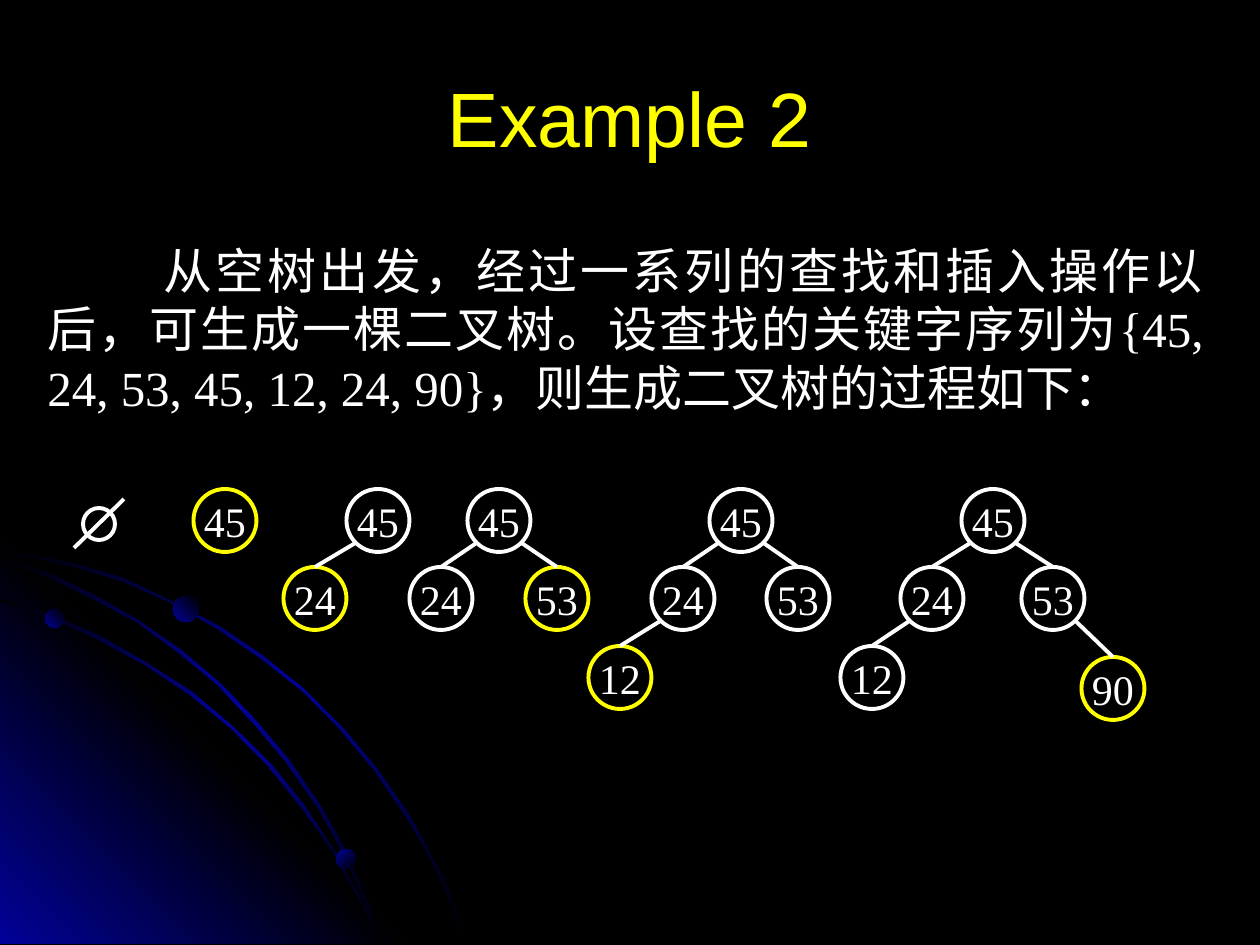
import pptx
import pptx.util
from lxml import etree
from pptx.dml.color import RGBColor
from pptx.enum.shapes import MSO_CONNECTOR, MSO_SHAPE
from pptx.enum.text import MSO_ANCHOR, PP_ALIGN
from pptx.oxml import parse_xml
from pptx.oxml.ns import nsdecls, qn

SCALE = 914400 / 126
BLACK, BLUE, WHITE, YELLOW = "000000", "010199", "FFFFFF", "FFFF00"
SERIF, SANS = "Times New Roman", "Arial"
NODE = 63

TREES = [
    {45: 225},
    {45: 378, 24: 315},
    {45: 499, 24: 441, 53: 557},
    {45: 741, 24: 683, 53: 798, 12: 620},
    {45: 993, 24: 932, 53: 1053, 12: 872, 90: 1113},
]
PARENT = {24: 45, 53: 45, 12: 24, 90: 53}
TOP = {45: 489, 24: 567, 53: 567, 12: 646, 90: 657}

CORNER = [(406, 944), (0, 944), (0, 538)]
OUTER_ARC = [
    (72, 563), (35, 556), (0, 548), (0, 552), (35, 558), (71, 566), (122, 581), (170, 602),
    (218, 629), (262, 659), (304, 692), (341, 730), (375, 771), (407, 818), (425, 848),
    (441, 879), (454, 911), (466, 944), (469, 944), (456, 911), (444, 879), (427, 848),
    (410, 816), (378, 770), (343, 728), (305, 690), (263, 656), (219, 626), (171, 601),
    (123, 578),
]
LOWER_ARC = [
    (359, 900), (370, 922), (379, 944), (382, 944), (373, 920), (360, 897), (335, 852),
    (305, 806), (271, 764), (232, 726), (192, 692), (147, 663), (100, 636), (52, 615),
    (0, 599), (0, 601), (49, 617), (97, 639), (145, 665), (189, 694), (231, 728), (268, 766),
    (302, 808), (334, 853),
]
MIDDLE_ARC = [
    (0, 557), (0, 559), (45, 576), (93, 599), (137, 622), (179, 653), (218, 685), (255, 725),
    (286, 762), (318, 808), (336, 840), (353, 874), (368, 910), (379, 944), (382, 944),
    (370, 907), (355, 873), (339, 838), (320, 805), (289, 760), (257, 722), (221, 684),
    (181, 650), (139, 621), (96, 596), (49, 573),
]


def px(n):
    """Turn px into EMU."""
    return pptx.util.Emu(round(n * SCALE))


def rgb(value):
    """Turn a hex string into a colour."""
    return RGBColor.from_string(value)


def set_gradient(sp, colours, angle):
    """Fill a shape with evenly spaced gradient stops and no outline."""
    last = len(colours) - 1
    stops = "".join(
        f'<a:gs pos="{100000 * i // last}"><a:srgbClr val="{c}"/></a:gs>'
        for i, c in enumerate(colours)
    )
    grad = parse_xml(
        f'<a:gradFill {nsdecls("a")} rotWithShape="1"><a:gsLst>{stops}</a:gsLst>'
        f'<a:lin ang="{angle * 60000}" scaled="0"/></a:gradFill>'
    )
    sp.line.fill.background()
    sp.shadow.inherit = False
    sp._element.spPr.find(qn("a:ln")).addprevious(grad)


def add_outline(s, points, colours, angle):
    """Add a closed polygon with a gradient."""
    builder = s.shapes.build_freeform(*points[0], scale=SCALE)
    builder.add_line_segments(points[1:], close=True)
    set_gradient(builder.convert_to_shape(), colours, angle)


def add_dot(s, x, y, size, angle):
    """Add a shaded dot."""
    sp = s.shapes.add_shape(MSO_SHAPE.OVAL, px(x), px(y), px(size), px(size))
    set_gradient(sp, [BLUE, BLACK], angle)


def add_ring(s, x, y, size, colour):
    """Add an unfilled circle."""
    sp = s.shapes.add_shape(MSO_SHAPE.OVAL, px(x), px(y), px(size), px(size))
    sp.shadow.inherit = False
    sp.fill.background()
    sp.line.color.rgb = rgb(colour)
    sp.line.width = pptx.util.Pt(2.25)
    return sp


def add_line(s, x1, y1, x2, y2):
    """Add a straight white line."""
    line = s.shapes.add_connector(MSO_CONNECTOR.STRAIGHT, px(x1), px(y1), px(x2), px(y2))
    line.line.color.rgb = rgb(WHITE)
    line.line.width = pptx.util.Pt(2.25)
    etree.SubElement(line._element.spPr, qn("a:effectLst"))


def write(tf, text, size, font, colour, align):
    """Write one paragraph into a text frame."""
    p = tf.paragraphs[0]
    p.text = text
    p.alignment = align
    p.font.size = pptx.util.Pt(size)
    p.font.name = font
    p.font.color.rgb = rgb(colour)
    return p


def add_text(s, x, y, w, h, text, size, font, colour, align, anchor):
    """Add a wrapped text box and return its paragraph."""
    tf = s.shapes.add_textbox(px(x), px(y), px(w), px(h)).text_frame
    tf.word_wrap = True
    tf.vertical_anchor = anchor
    return write(tf, text, size, font, colour, align)


def add_tree(s, centres):
    """Add a search tree whose last inserted key is highlighted."""
    newest = list(centres)[-1]
    for key, x in centres.items():
        ring = add_ring(s, x - NODE / 2, TOP[key], NODE, YELLOW if key == newest else WHITE)
        tf = ring.text_frame
        tf.word_wrap = False
        tf.vertical_anchor = MSO_ANCHOR.MIDDLE
        write(tf, str(key), 24, SERIF, WHITE, PP_ALIGN.CENTER)
        if key in PARENT:
            parent = PARENT[key]
            reach = NODE / 2 * 0.71
            side = -reach if key < parent else reach
            add_line(s, centres[parent] + side, TOP[parent] + NODE / 2 + reach, x, TOP[key])


def add_decoration(s):
    """Add the glowing corner with its arcs and dots."""
    add_outline(s, OUTER_ARC, [BLACK, BLUE, BLACK], 45)
    add_outline(s, CORNER, [BLUE, BLACK, BLUE], 315)
    for arc in (LOWER_ARC, MIDDLE_ARC):
        add_outline(s, arc, [BLACK, BLUE, BLACK], 45)
    add_dot(s, 45, 609, 19, 315)
    add_dot(s, 336, 849, 20, 45)
    add_dot(s, 173, 596, 26, 315)


def add_empty_tree(s):
    """Add the empty set sign."""
    add_ring(s, 83, 508, 32, WHITE)
    add_line(s, 124, 499, 74, 548)


def main():
    """Build the slide."""
    prs = pptx.Presentation()
    prs.slide_width, prs.slide_height = px(1260), px(945)
    s = prs.slides.add_slide(prs.slide_layouts[6])
    s.background.fill.solid()
    s.background.fill.fore_color.rgb = rgb(BLACK)
    add_decoration(s)
    add_text(s, 63, 38, 1134, 158, "Example 2", 44, SANS, YELLOW,
             PP_ALIGN.CENTER, MSO_ANCHOR.MIDDLE)
    p = add_text(s, 35, 234, 1181, 190,
                 "从空树出发，经过一系列的查找和插入操作以后，可生成一棵二叉树。"
                 "设查找的关键字序列为{45, 24, 53, 45, 12, 24, 90}，则生成二叉树的过程如下：",
                 28, SERIF, WHITE, PP_ALIGN.JUSTIFY, MSO_ANCHOR.TOP)
    props = p._p.get_or_add_pPr()
    props.set("indent", str(px(116)))
    props.set("hangingPunct", "0")
    add_empty_tree(s)
    for centres in TREES:
        add_tree(s, centres)
    prs.save("out.pptx")


if __name__ == "__main__":
    main()
